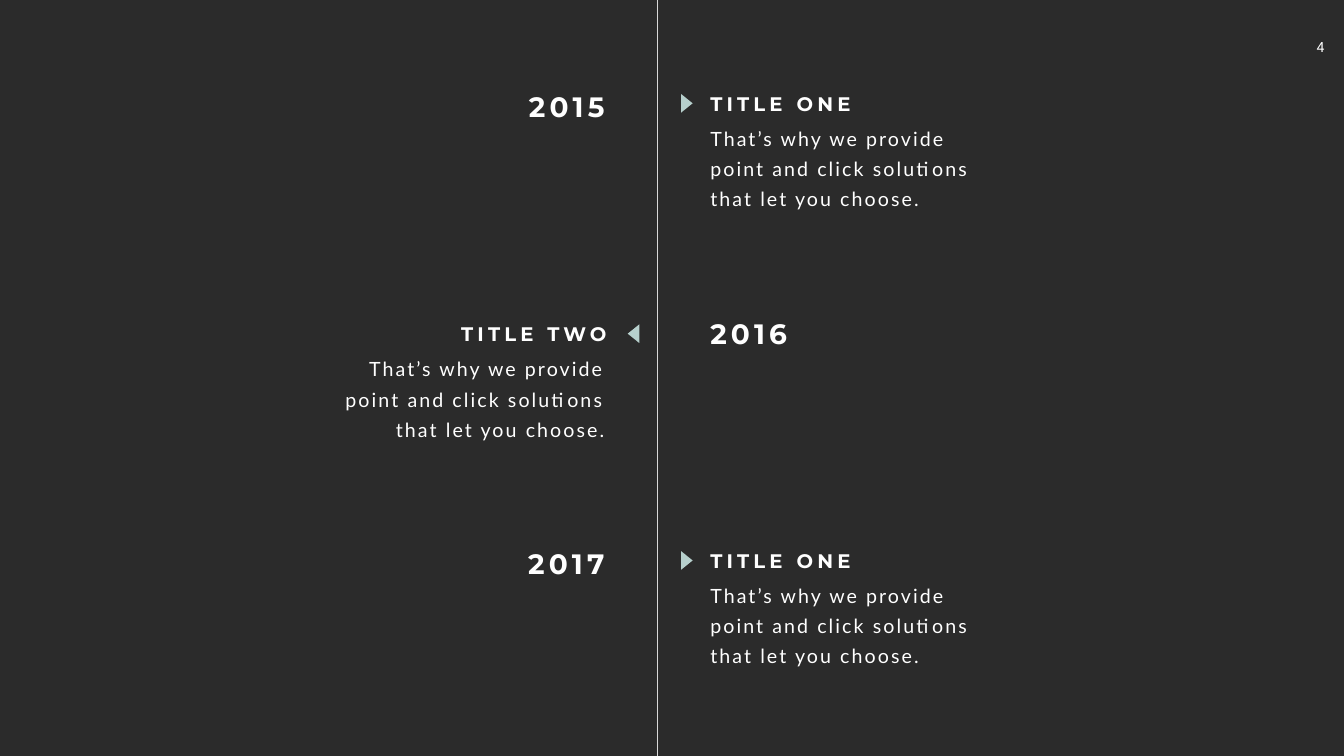
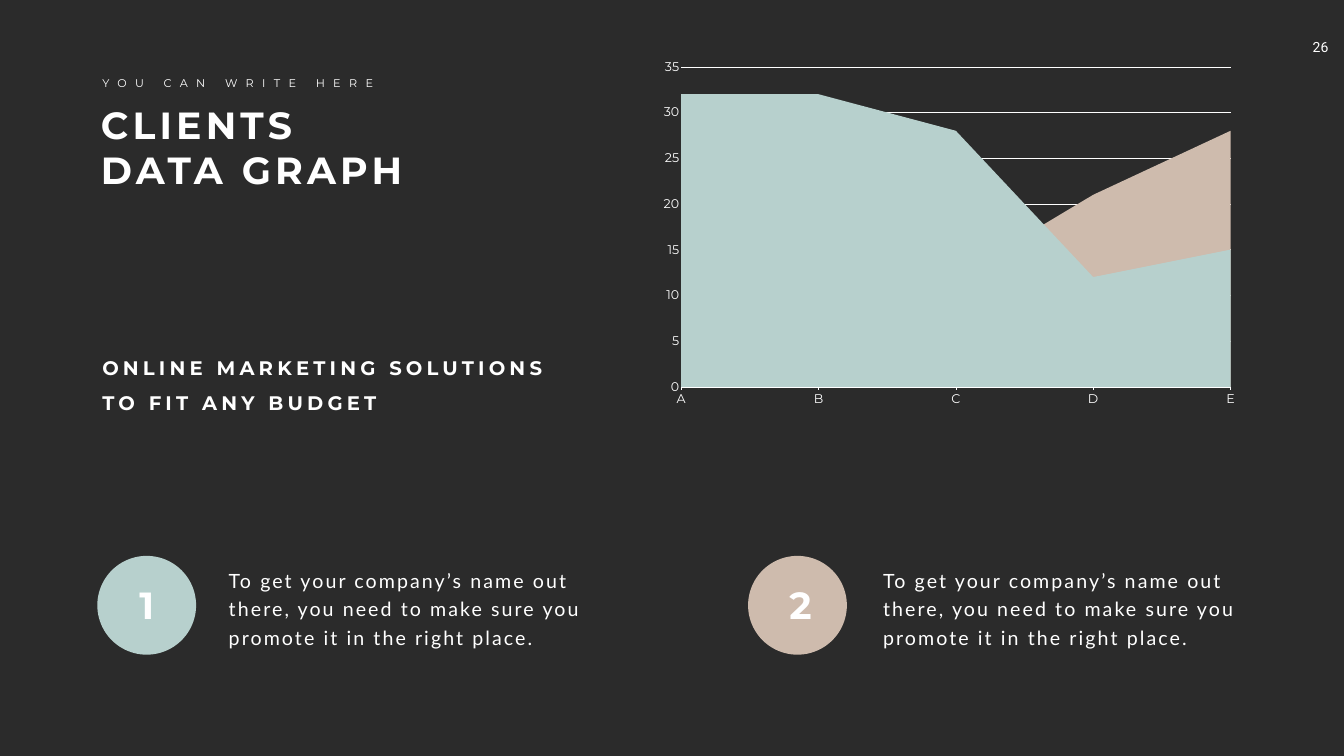
from dataclasses import dataclass
from typing import NamedTuple

from lxml.etree import SubElement
from pptx import Presentation
from pptx.chart.data import CategoryChartData
from pptx.dml.color import RGBColor
from pptx.enum.chart import XL_CHART_TYPE, XL_TICK_MARK
from pptx.enum.shapes import MSO_CONNECTOR, MSO_SHAPE
from pptx.enum.text import MSO_AUTO_SIZE, PP_ALIGN
from pptx.oxml.ns import qn
from pptx.slide import Slide
from pptx.util import Inches, Pt

W, H = Inches(26.66), Inches(15)
COLORS = {"ground": "2B2B2B", "ink": "FFFFFF", "rule": "D9D9D9", "mint": "B7D0CD", "sand": "CEBBAD"}
LEFT, CENTER, RIGHT = PP_ALIGN.LEFT, PP_ALIGN.CENTER, PP_ALIGN.RIGHT
TITLE_H = 3.8
MARGIN = 7.24


class Box(NamedTuple):
    """A frame in percent of the slide's width and height."""

    x: float
    y: float
    w: float
    h: float

    def emu(self) -> tuple:
        """Return the frame in slide units."""
        return tuple(round(v * side / 100) for v, side in zip(self, (W, H, W, H)))


@dataclass(frozen=True)
class Style:
    """Type settings for a text box."""

    font: str
    size: float
    spacing: float = 0
    bold: bool = False
    leading: object = None


HEADLINE = Style("Montserrat", 54, 6, True)
YEAR = Style("Montserrat", 40, 6, True)
TITLE = Style("Montserrat", 28, 6, True)
SLOGAN = Style("Montserrat", 28, 6, True, 1.5)
EYEBROW = Style("Montserrat", 16, 12)
EVENT_BODY = Style("Lato", 28, 3, leading=Pt(43))
POINT_BODY = Style("Lato", 28, 3, leading=Pt(40.8))
PAGE = Style("Roboto", 20)


class Event(NamedTuple):
    """One stop on the timeline."""

    year: str
    title: str
    title_y: float
    year_y: float
    on_right: bool


class Point(NamedTuple):
    """A numbered disc with its sentence."""

    number: str
    color: str
    disc_x: float
    number_x: float
    body_x: float


EVENTS = (
    Event("2015", "TITLE ONE", 11.8, 11.53, True),
    Event("2016", "TITLE TWO", 42.27, 41.6, False),
    Event("2017", "TITLE ONE", 72.27, 72, True),
)
EVENT_TEXT = "That’s why we provide point and click solutions that let you choose."
POINTS = (
    Point("1", "mint", MARGIN, 8.89, 16.65),
    Point("2", "sand", 55.66, 57.54, 65.34),
)
POINT_TEXT = "To get your company’s name out there, you need to make sure you promote it in the right place."
CATEGORIES = ("A", "B", "C", "D", "E")
SERIES = (
    ("Series 1", (32, 32, 28, 12, 15), "mint"),
    ("Series 2", (12, 12, 12, 21, 28), "sand"),
)


def rgb(name: str) -> RGBColor:
    """Look up a palette colour."""
    return RGBColor.from_string(COLORS[name])


def add_text(s: Slide, box: Box, text: str, style: Style, align=LEFT, wrap: bool = True):
    """Place one paragraph of styled text."""
    sp = s.shapes.add_textbox(*box.emu())
    tf = sp.text_frame
    tf.word_wrap = wrap
    tf.auto_size = MSO_AUTO_SIZE.SHAPE_TO_FIT_TEXT
    tf.text = text
    p = tf.paragraphs[0]
    p.alignment = align
    if style.leading:
        p.line_spacing = style.leading
    for r in p.runs:
        r.font.name, r.font.size, r.font.bold = style.font, Pt(style.size), style.bold
        r.font.color.rgb = rgb("ink")
        if style.spacing:
            r.font._element.set("spc", str(round(style.spacing * 100)))
    return sp


def add_solid(s: Slide, kind: MSO_SHAPE, box: Box, color: str, rotation: float = 0) -> None:
    """Draw a plain filled shape."""
    sp = s.shapes.add_shape(kind, *box.emu())
    sp.shadow.inherit = False
    sp.fill.solid()
    sp.fill.fore_color.rgb = rgb(color)
    sp.line.fill.background()
    sp.rotation = rotation


def add_slide(prs: Presentation, number: str) -> Slide:
    """Start a dark slide with its page number."""
    s = prs.slides.add_slide(prs.slide_layouts[6])
    s.background.fill.solid()
    s.background.fill.fore_color.rgb = rgb("ground")
    tf = add_text(s, Box(96.36, 4.47, 3.79, 3.6), number, PAGE, CENTER).text_frame
    tf.margin_left = tf.margin_right = Inches(0.2)
    tf.margin_top = tf.margin_bottom = Inches(0.1)
    return s


def add_event(s: Slide, event: Event) -> None:
    """Draw an event on one side of the line and its year on the other."""

    def beside(on_right: bool, y: float, w: float, h: float, text: str, style: Style, edge: float = 45.35) -> None:
        x, align = (52.48, LEFT) if on_right else (edge - w, RIGHT)
        add_text(s, Box(x, y, w, h), text, style, align)

    beside(event.on_right, event.title_y + TITLE_H, 21.83, 12.33, EVENT_TEXT, EVENT_BODY)
    beside(event.on_right, event.title_y, 16.54, TITLE_H, event.title, TITLE, 45.5)
    beside(not event.on_right, event.year_y, 12.23, 5.13, event.year, YEAR)
    marker_x, turn = (50.41, 90) if event.on_right else (46.44, 270)
    add_solid(s, MSO_SHAPE.ISOSCELES_TRIANGLE, Box(marker_x, event.title_y + 1.1, 1.39, 1.53), "mint", turn)


def add_point(s: Slide, point: Point) -> None:
    """Draw a numbered disc and its sentence."""
    add_solid(s, MSO_SHAPE.OVAL, Box(point.disc_x, 73.53, 7.35, 13.07), point.color)
    add_text(s, Box(point.number_x, 76.67, 4.05, 6.73), point.number, HEADLINE, CENTER)
    add_text(s, Box(point.body_x, 74.2, 27.42, 11.8), POINT_TEXT, POINT_BODY)


def add_area_chart(s: Slide, box: Box) -> None:
    """Draw the clients area chart."""
    data = CategoryChartData()
    data.categories = CATEGORIES
    for name, values, _ in SERIES:
        data.add_series(name, values)
    chart = s.shapes.add_chart(XL_CHART_TYPE.AREA, *box.emu(), data).chart
    chart.has_legend = chart.has_title = False
    chart.font.name, chart.font.size = "Montserrat", Pt(18)
    chart.font.color.rgb = rgb("ink")
    plot = chart.plots[0]
    plot.vary_by_categories = False
    for series, (_, _, color) in zip(plot.series, SERIES):
        series.format.fill.solid()
        series.format.fill.fore_color.rgb = rgb(color)
        series.format.line.fill.background()
    cat, val = chart.category_axis, chart.value_axis
    cat.has_major_gridlines = False
    cat.major_tick_mark, val.major_tick_mark = XL_TICK_MARK.OUTSIDE, XL_TICK_MARK.NONE
    cat.minor_tick_mark = val.minor_tick_mark = XL_TICK_MARK.NONE
    val.minimum_scale, val.maximum_scale, val.major_unit = 0, 35, 5
    val.has_major_gridlines = True
    val.format.line.fill.background()
    for line in (cat.format.line, val.major_gridlines.format.line):
        line.color.rgb = rgb("ink")
        line.width = Pt(0.75)


def build_timeline(prs: Presentation) -> None:
    """Build the timeline slide."""
    s = add_slide(prs, "4")
    x = round(W * 0.4891)
    axis = s.shapes.add_connector(MSO_CONNECTOR.STRAIGHT, x, 0, x, H)
    axis.line.color.rgb = rgb("rule")
    axis.line.width = Pt(0.5)
    SubElement(axis._element.spPr, qn("a:effectLst"))
    for event in EVENTS:
        add_event(s, event)


def build_data_graph(prs: Presentation) -> None:
    """Build the clients data slide."""
    s = add_slide(prs, "26")
    add_text(s, Box(7.13, 13.13, 25.39, 12.8), "CLIENTS DATA GRAPH", HEADLINE)
    add_text(s, Box(MARGIN, 9.8, 21.68, 2.47), "YOU CAN WRITE HERE", EYEBROW, wrap=False)
    for point in POINTS:
        add_point(s, point)
    add_text(s, Box(MARGIN, 45.2, 34.96, 9.53), "ONLINE MARKETING SOLUTIONS TO FIT ANY BUDGET", SLOGAN)
    add_area_chart(s, Box(48.5, 6.87, 44.26, 47.93))


def main() -> None:
    """Build and save the deck."""
    prs = Presentation()
    prs.slide_width, prs.slide_height = W, H
    build_timeline(prs)
    build_data_graph(prs)
    prs.save("out.pptx")


if __name__ == "__main__":
    main()
